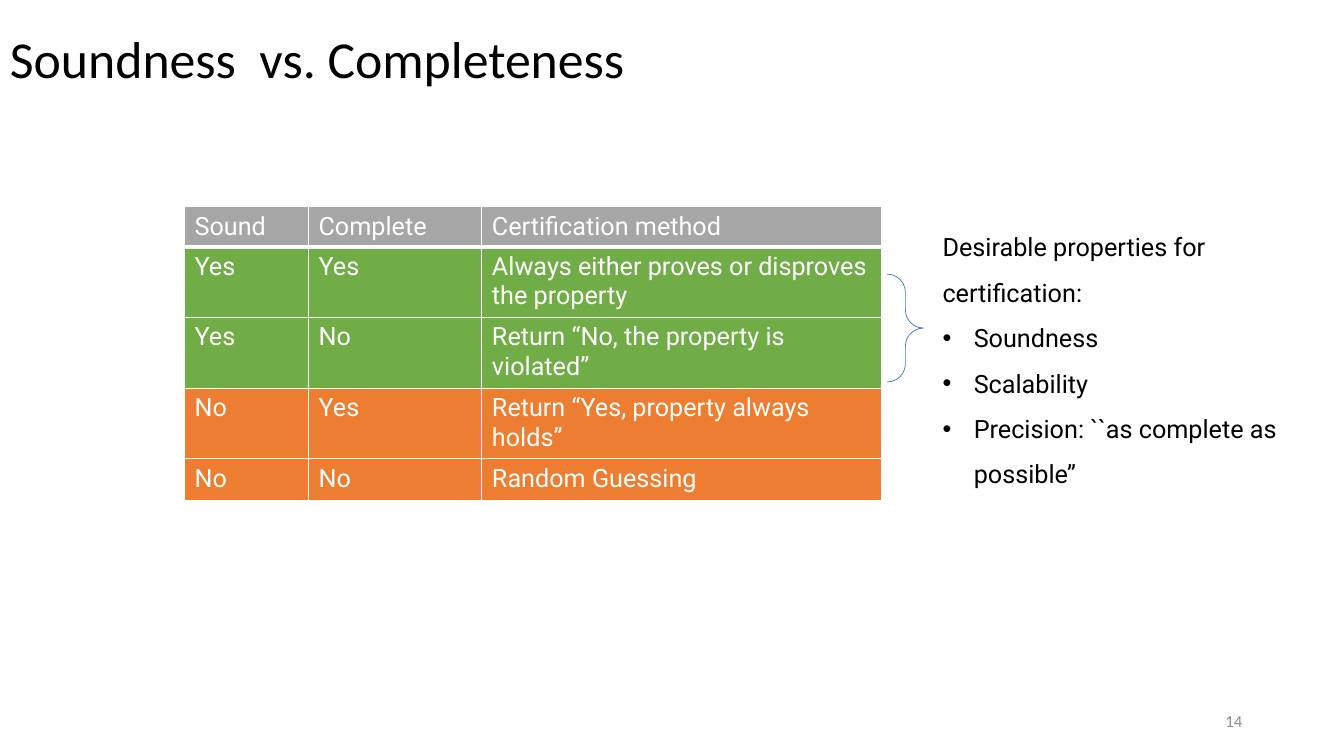
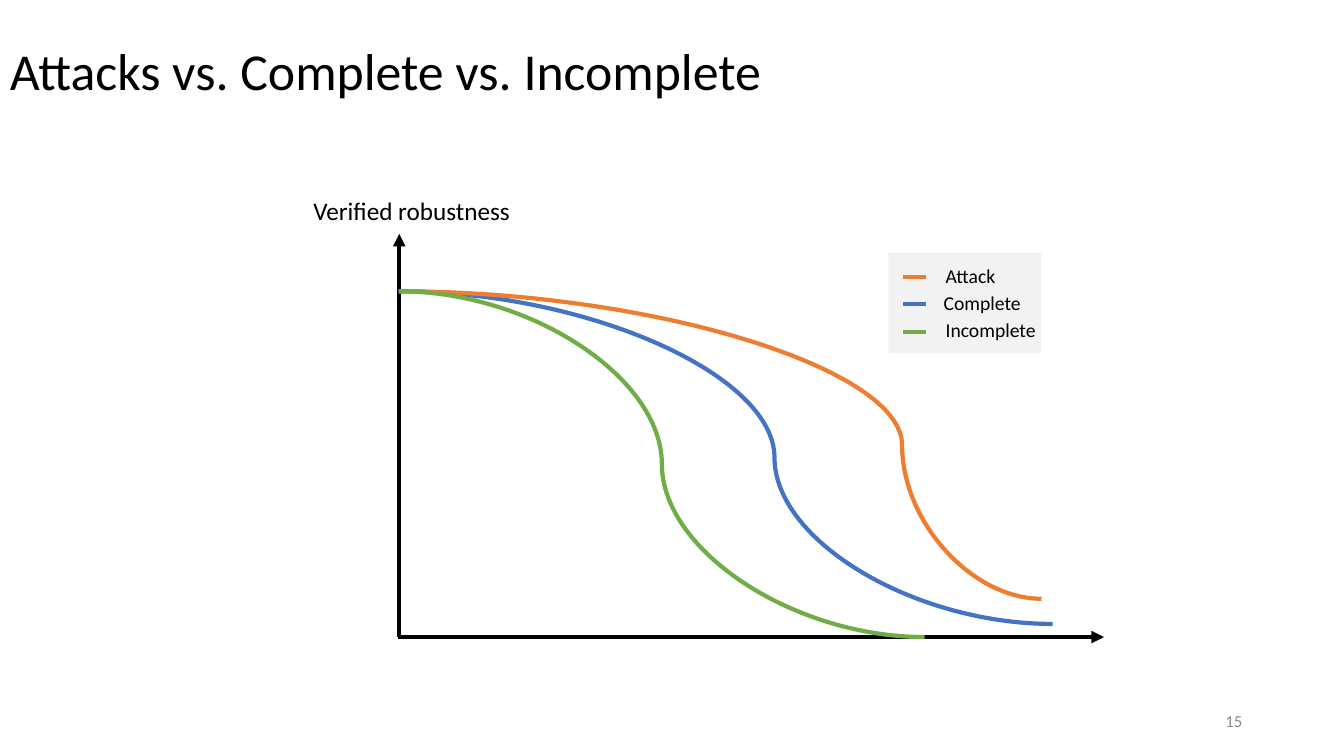
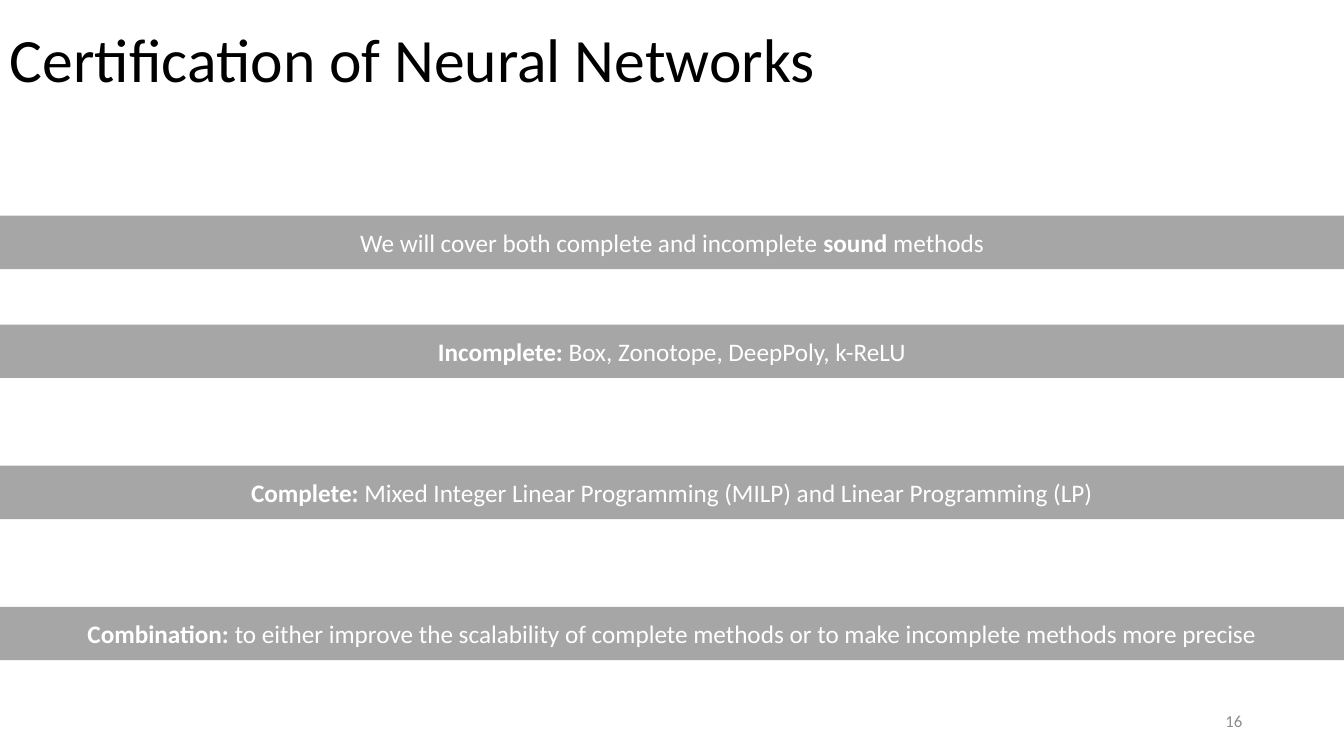
from lxml import etree
from pptx import Presentation
from pptx.dml.color import RGBColor
from pptx.enum import shapes, text
from pptx.oxml import ns
from pptx.util import Inches, Pt

BLACK = RGBColor(0x00, 0x00, 0x00)
WHITE = RGBColor(0xFF, 0xFF, 0xFF)
GRAY = RGBColor(0xA6, 0xA6, 0xA6)
PALE = RGBColor(0xF2, 0xF2, 0xF2)
PAGE_GRAY = RGBColor(0x8C, 0x8C, 0x8C)
BLUE = RGBColor(0x44, 0x72, 0xC4)
ORANGE = RGBColor(0xED, 0x7D, 0x31)
GREEN = RGBColor(0x70, 0xAD, 0x47)

prs = Presentation()
prs.slide_width = Inches(13.33)
prs.slide_height = Inches(7.5)


def add_text(s, box, content, size, color=BLACK, font="Calibri",
             anchor=text.MSO_ANCHOR.TOP, align=text.PP_ALIGN.LEFT, spacing=1.0):
    tf = s.shapes.add_textbox(*map(Inches, box)).text_frame
    tf.word_wrap = True
    tf.vertical_anchor = anchor
    tf.text = content
    for p in tf.paragraphs:
        p.alignment = align
        p.line_spacing = spacing
        for r in p.runs:
            r.font.name = font
            r.font.size = Pt(size)
            r.font.color.rgb = color
    return tf


def add_line(s, kind, x1, y1, x2, y2, color, arrow=False):
    c = s.shapes.add_connector(kind, *map(Inches, (x1, y1, x2, y2)))
    c.line.color.rgb = color
    c.line.width = Pt(3)
    if arrow:
        etree.SubElement(c.line._get_or_add_ln(), ns.qn("a:tailEnd"), type="triangle")
    etree.SubElement(c._element.spPr, ns.qn("a:effectLst"))
    return c


STRAIGHT = shapes.MSO_CONNECTOR.STRAIGHT
CURVE = shapes.MSO_CONNECTOR.CURVE
MIDDLE = text.MSO_ANCHOR.MIDDLE

titles = [
    ("Soundness  vs. Completeness", 37, (0, -0.01, 9.71, 1.25)),
    ("Attacks vs. Complete vs. Incomplete", 37, (0, 0.01, 11.5, 1.45)),
    ("Certification of Neural Networks", 44, (0, 0, 9.71, 1.25)),
]
slides = []
for number, (title, size, box) in enumerate(titles, 14):
    s = prs.slides.add_slide(prs.slide_layouts[6])
    add_text(s, box, title, size, anchor=MIDDLE, spacing=0.9)
    add_text(s, (9.42, 6.95, 3, 0.4), str(number), 12, PAGE_GRAY,
             anchor=MIDDLE, align=text.PP_ALIGN.RIGHT)
    slides.append(s)

s = slides[0]
rows = [
    (GRAY, "Sound", "Complete", "Certification method"),
    (GREEN, "Yes", "Yes", "Always either proves or disproves the property"),
    (GREEN, "Yes", "No", "Return “No, the property is violated”"),
    (ORANGE, "No", "Yes", "Return “Yes, property always holds”"),
    (ORANGE, "No", "No", "Random Guessing"),
]
table = s.shapes.add_table(5, 3, Inches(1.83), Inches(2.05), Inches(6.91), Inches(2.02)).table
for column, width in zip(table.columns, (1.23, 1.72, 3.96)):
    column.width = Inches(width)
for i, (fill, *words) in enumerate(rows):
    table.rows[i].height = Inches(0.41 if i else 0.38)
    for j, word in enumerate(words):
        cell = table.cell(i, j)
        cell.text = word
        r = cell.text_frame.paragraphs[0].runs[0]
        r.font.name = "Roboto"
        r.font.size = Pt(18)
        r.font.bold = False
        r.font.color.rgb = WHITE
        tcPr = cell._tc.get_or_add_tcPr()
        for side in ("lnL", "lnR", "lnT", "lnB"):
            width = 3 if i == 0 and side == "lnB" else 1
            ln = etree.SubElement(tcPr, ns.qn("a:" + side), w=str(Pt(width)))
            solid = etree.SubElement(ln, ns.qn("a:solidFill"))
            etree.SubElement(solid, ns.qn("a:srgbClr"), val=str(WHITE))
        cell.fill.solid()
        cell.fill.fore_color.rgb = fill

sp = s.shapes.add_shape(shapes.MSO_SHAPE.RIGHT_BRACE, *map(Inches, (8.8, 2.72, 0.36, 1.07)))
sp.shadow.inherit = False
sp.adjustments[0] = 0.497
sp.adjustments[1] = 0.5
sp.fill.background()
sp.line.color.rgb = BLUE
sp.line.width = Pt(0.5)

tf = add_text(s, (9.25, 2.1, 3.63, 2.78),
              "Desirable properties for certification:\nSoundness\nScalability\n"
              "Precision: ``as complete as possible’’",
              18, font="Roboto", spacing=1.5)
for p in tf.paragraphs[1:]:
    pPr = p._p.get_or_add_pPr()
    pPr.set("marL", str(Inches(0.31)))
    pPr.set("indent", str(-Inches(0.31)))
    etree.SubElement(pPr, ns.qn("a:buFont"), typeface="Arial")
    etree.SubElement(pPr, ns.qn("a:buChar"), char="•")

s = slides[1]
add_line(s, STRAIGHT, 3.96, 6.32, 3.96, 2.32, BLACK, arrow=True)
add_line(s, STRAIGHT, 3.95, 6.32, 10.95, 6.32, BLACK, arrow=True)
add_text(s, (3.01, 1.89, 2.34, 0.4), "Verified robustness", 18)

curves = [
    (3.95, 10.44, 6.19, BLUE, 57500),
    (3.96, 10.33, 5.94, ORANGE, 78300),
    (3.96, 9.17, 6.32, GREEN, 50000),
]
for x1, x2, y2, color, bend in curves:
    c = add_line(s, CURVE, x1, 2.89, x2, y2, color)
    avLst = c._element.spPr.find(ns.qn("a:prstGeom")).get_or_add_avLst()
    etree.SubElement(avLst, ns.qn("a:gd"), name="adj1", fmla=f"val {bend}")

sp = s.shapes.add_shape(shapes.MSO_SHAPE.RECTANGLE, *map(Inches, (8.81, 2.51, 1.52, 0.99)))
sp.shadow.inherit = False
sp.fill.solid()
sp.fill.fore_color.rgb = PALE
sp.line.fill.background()
legend = [("Attack", ORANGE, 9.28), ("Complete", BLUE, 9.26), ("Incomplete", GREEN, 9.28)]
for i, (label, color, x) in enumerate(legend):
    y = 2.75 + 0.27 * i
    add_line(s, STRAIGHT, 8.96, y, 9.18, y, color)
    add_text(s, (x, y - 0.18, 1.15, 0.34), label, 14)

s = slides[2]
bands = [
    (2.14, [("We will cover both complete and incomplete ", False), ("sound", True),
            (" methods", False)]),
    (3.22, [("Incomplete: ", True), ("Box, Zonotope, DeepPoly, k-ReLU", False)]),
    (4.62, [("Complete: ", True),
            ("Mixed Integer Linear Programming (MILP) and Linear Programming (LP)", False)]),
    (6.02, [("Combination: ", True),
            ("to either improve the scalability of complete methods or to make "
             "incomplete methods more precise", False)]),
]
for top, parts in bands:
    sp = s.shapes.add_shape(shapes.MSO_SHAPE.RECTANGLE, 0, Inches(top), prs.slide_width, Inches(0.53))
    sp.shadow.inherit = False
    sp.fill.solid()
    sp.fill.fore_color.rgb = GRAY
    sp.line.fill.background()
    sp.text_frame.vertical_anchor = MIDDLE
    p = sp.text_frame.paragraphs[0]
    p.alignment = text.PP_ALIGN.CENTER
    for words, bold in parts:
        r = p.add_run()
        r.text = words
        r.font.name = "Calibri"
        r.font.size = Pt(18)
        r.font.bold = bold
        r.font.color.rgb = WHITE

prs.save("out.pptx")
